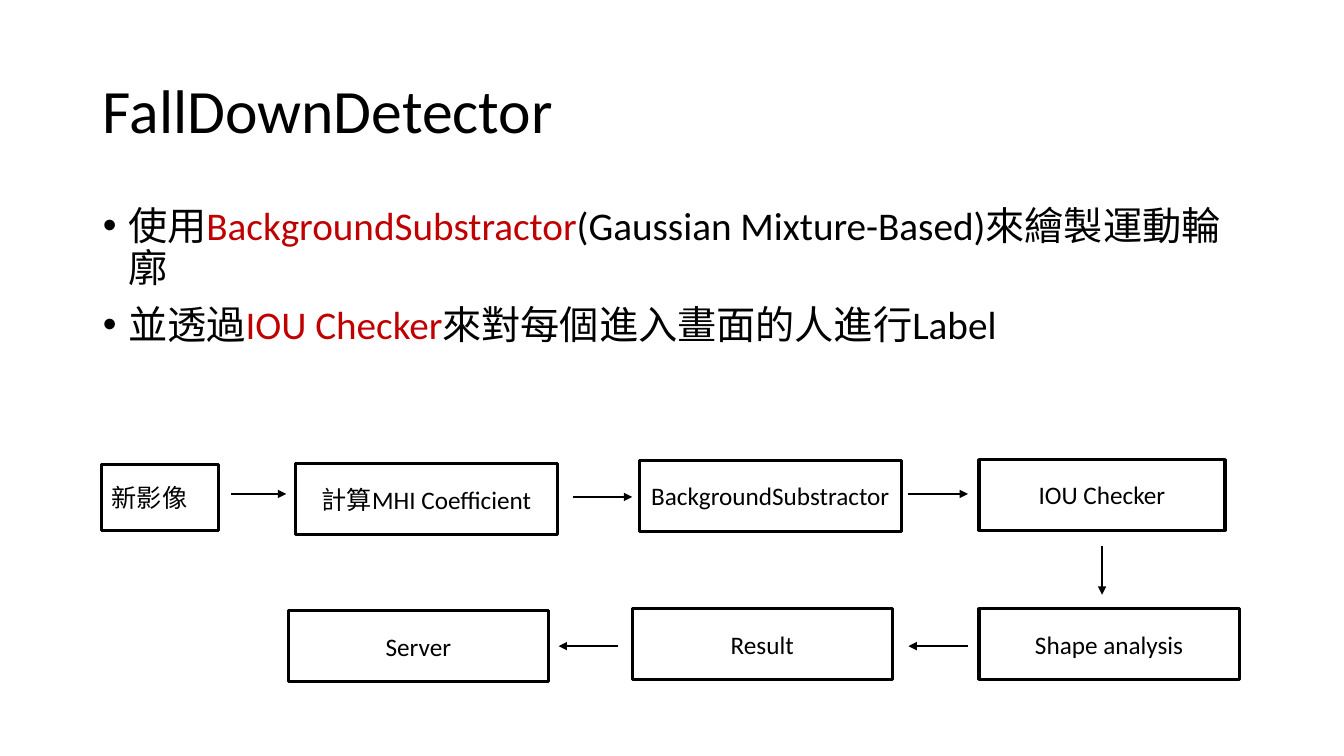
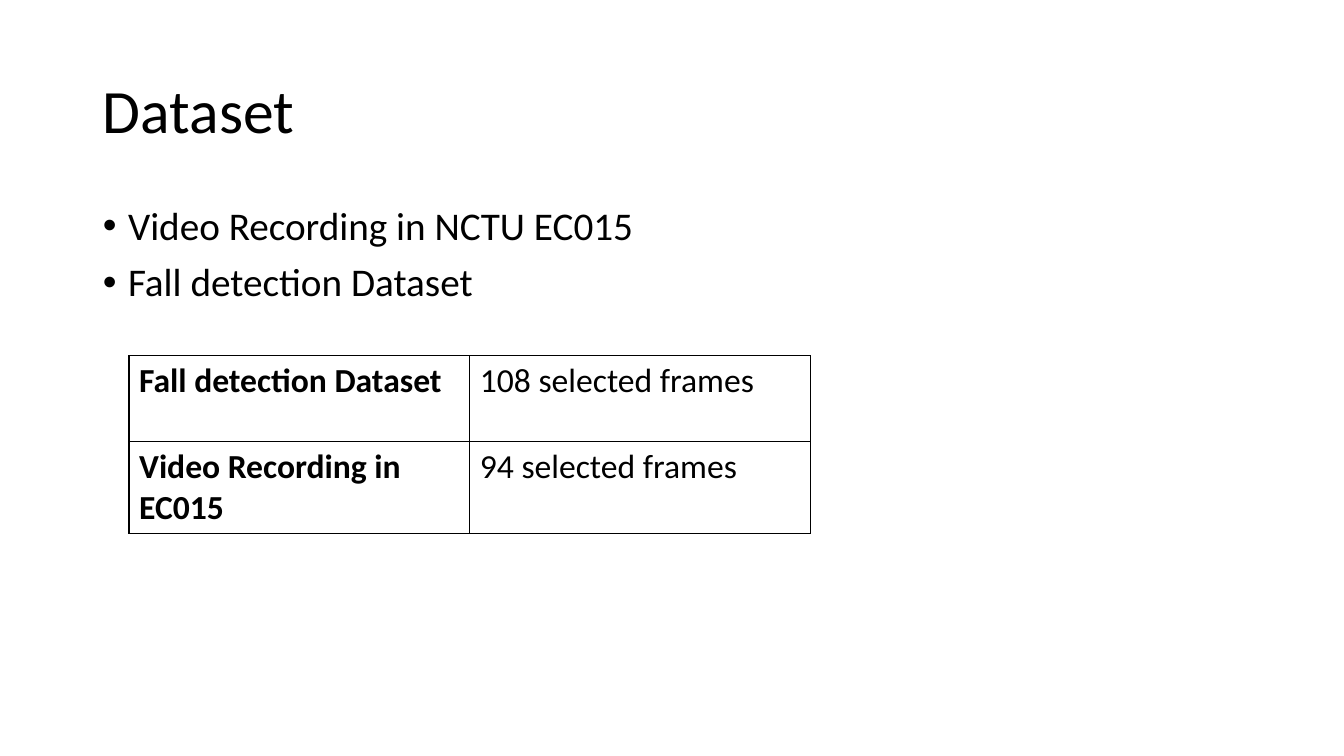
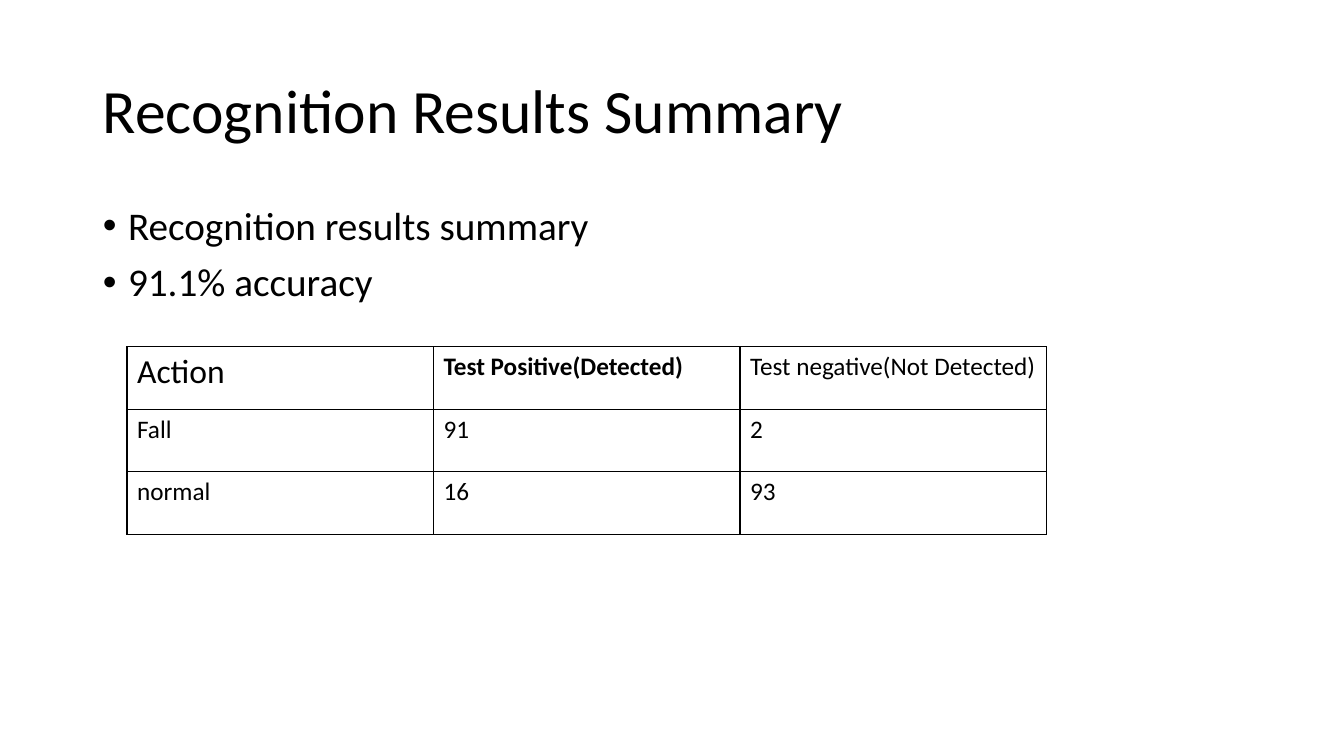
from lxml import etree
from pptx import Presentation
from pptx.dml.color import RGBColor
from pptx.enum.shapes import MSO_CONNECTOR, MSO_SHAPE
from pptx.enum.text import MSO_ANCHOR, MSO_AUTO_SIZE, PP_ALIGN
from pptx.oxml.ns import qn
from pptx.util import Inches, Pt

LEFT, CENTER = PP_ALIGN.LEFT, PP_ALIGN.CENTER
MIDDLE, TOP = MSO_ANCHOR.MIDDLE, MSO_ANCHOR.TOP
NO_FIT = MSO_AUTO_SIZE.NONE
RECTANGLE, STRAIGHT = MSO_SHAPE.RECTANGLE, MSO_CONNECTOR.STRAIGHT

BLACK = RGBColor(0x00, 0x00, 0x00)
RED = RGBColor(0xC0, 0x00, 0x00)
FONT = "Calibri"
TITLE_AREA = (0.92, 0.4, 11.5, 1.45)
BODY_AREA = (0.92, 2, 11.5, 4.76)

# Each bullet is a list of (text, colour) pieces.
DETECTOR_BULLETS = [
    [("使用", BLACK), ("BackgroundSubstractor", RED),
     ("(Gaussian Mixture-Based)來繪製運動輪廓", BLACK)],
    [("並透過", BLACK), ("IOU Checker", RED),
     ("來對每個進入畫面的人進行Label", BLACK)],
]
# Flow steps: text, left, top, width, height, alignment.
STEPS = [
    ("新影像", 1.01, 4.61, 1.16, 0.65, LEFT),
    ("計算MHI Coefficient", 2.93, 4.6, 2.6, 0.7, CENTER),
    ("BackgroundSubstractor", 6.34, 4.57, 2.6, 0.7, CENTER),
    ("IOU Checker", 9.71, 4.56, 2.44, 0.7, CENTER),
    ("Shape analysis", 9.71, 6.04, 2.58, 0.7, CENTER),
    ("Result", 6.27, 6.04, 2.58, 0.7, CENTER),
    ("Server", 2.86, 6.06, 2.58, 0.7, CENTER),
]
# Arrows between consecutive steps: start x, start y, end x, end y.
ARROWS = [
    (2.29, 4.9, 2.84, 4.9),
    (5.68, 4.93, 6.27, 4.93),
    (9.01, 4.9, 9.6, 4.9),
    (10.93, 5.42, 10.93, 5.9),
    (9.6, 6.41, 9.01, 6.41),
    (6.13, 6.41, 5.54, 6.41),
]
DATASET_BULLETS = [
    [("Video Recording in NCTU EC015", BLACK)],
    [("Fall detection Dataset", BLACK)],
]
# Table cells: text, size, bold.
DATASET_ROWS = [
    [("Fall detection Dataset", 24, True), ("108 selected frames", 24, False)],
    [("Video Recording in EC015", 24, True), ("94 selected frames", 24, False)],
]
RESULT_BULLETS = [
    [("Recognition results summary", BLACK)],
    [("91.1% accuracy", BLACK)],
]
RESULT_ROWS = [
    [("Action", 24, False), ("Test Positive(Detected)", 18, True),
     ("Test negative(Not Detected)", 18, False)],
    [("Fall", 18, False), ("91", 18, False), ("2", 18, False)],
    [("normal", 18, False), ("16", 18, False), ("93", 18, False)],
]


def inches(*lengths):
    """Convert several numbers to lengths in inches."""
    return [Inches(length) for length in lengths]


def style_run(run, size, color=BLACK, bold=False):
    """Format one run of text."""
    run.font.name = FONT
    run.font.size = Pt(size)
    run.font.bold = bold
    run.font.color.rgb = color


def place_layout(layout):
    """Set the shared title and body areas on the layout."""
    areas = {0: (TITLE_AREA, MIDDLE), 1: (BODY_AREA, TOP)}
    for holder in layout.placeholders:
        index = holder.placeholder_format.idx
        if index in areas:
            area, anchor = areas[index]
            holder.left, holder.top, holder.width, holder.height = inches(*area)
            holder.text_frame.vertical_anchor = anchor
            holder.text_frame.auto_size = NO_FIT


def add_slide(deck, title, bullets):
    """Add a slide with a title and a bullet list."""
    slide = deck.slides.add_slide(deck.slide_layouts[1])
    slide.shapes.title.text_frame.text = title
    heading = slide.shapes.title.text_frame.paragraphs[0]
    heading.alignment = LEFT
    heading.line_spacing = 0.9
    style_run(heading.runs[0], 44)

    body = slide.placeholders[1].text_frame
    for number, pieces in enumerate(bullets):
        bullet = body.add_paragraph() if number else body.paragraphs[0]
        bullet.line_spacing = 0.9
        bullet.space_before = Pt(10)
        properties = bullet._p.get_or_add_pPr()
        properties.set("marL", str(Inches(0.25)))
        properties.set("indent", str(-Inches(0.25)))
        for text, color in pieces:
            run = bullet.add_run()
            run.text = text
            style_run(run, 28, color)
    return slide


def add_step(slide, text, left, top, width, height, alignment):
    """Add one outlined box of the flow."""
    step = slide.shapes.add_shape(RECTANGLE, *inches(left, top, width, height))
    step.shadow.inherit = False
    step.fill.background()
    step.line.color.rgb = BLACK
    step.line.width = Pt(2.25)
    step.text_frame.text = text
    step.text_frame.vertical_anchor = MIDDLE
    step.text_frame.word_wrap = True
    label = step.text_frame.paragraphs[0]
    label.alignment = alignment
    style_run(label.runs[0], 18)


def add_arrow(slide, *ends):
    """Add a straight arrow between two points."""
    arrow = slide.shapes.add_connector(STRAIGHT, *inches(*ends))
    arrow.line.color.rgb = BLACK
    arrow.line.width = Pt(1.5)
    etree.SubElement(arrow.line._get_or_add_ln(), qn("a:tailEnd"), type="triangle")
    etree.SubElement(arrow._element.spPr, qn("a:effectLst"))


def add_borders(cell):
    """Draw a thin black line on all four sides of a cell."""
    properties = cell._tc.get_or_add_tcPr()
    for side in ("a:lnL", "a:lnR", "a:lnT", "a:lnB"):
        border = etree.SubElement(properties, qn(side), w=str(Pt(1)))
        fill = etree.SubElement(border, qn("a:solidFill"))
        etree.SubElement(fill, qn("a:srgbClr"), val=str(BLACK))


def add_grid(slide, rows, left, top, column_width, row_height):
    """Add a plain ruled table with equal columns and rows."""
    columns = len(rows[0])
    area = inches(left, top, column_width * columns, row_height * len(rows))
    grid = slide.shapes.add_table(len(rows), columns, *area).table
    grid.first_row = False
    grid.horz_banding = False
    for column in grid.columns:
        column.width = Inches(column_width)
    for row_number, row in enumerate(rows):
        grid.rows[row_number].height = Inches(row_height)
        for column_number, (text, size, bold) in enumerate(row):
            cell = grid.cell(row_number, column_number)
            cell.text_frame.text = text
            style_run(cell.text_frame.paragraphs[0].runs[0], size, bold=bold)
            add_borders(cell)
            cell.fill.background()


def main():
    """Build the three slides and save them."""
    deck = Presentation()
    deck.slide_width, deck.slide_height = inches(13.33, 7.5)
    place_layout(deck.slide_layouts[1])

    detector = add_slide(deck, "FallDownDetector", DETECTOR_BULLETS)
    for step in STEPS:
        add_step(detector, *step)
    for arrow in ARROWS:
        add_arrow(detector, *arrow)

    dataset = add_slide(deck, "Dataset", DATASET_BULLETS)
    add_grid(dataset, DATASET_ROWS, 1.28, 3.53, 3.38, 0.85)

    results = add_slide(deck, "Recognition Results Summary", RESULT_BULLETS)
    add_grid(results, RESULT_ROWS, 1.26, 3.44, 3.04, 0.62)

    deck.save("out.pptx")


main()
